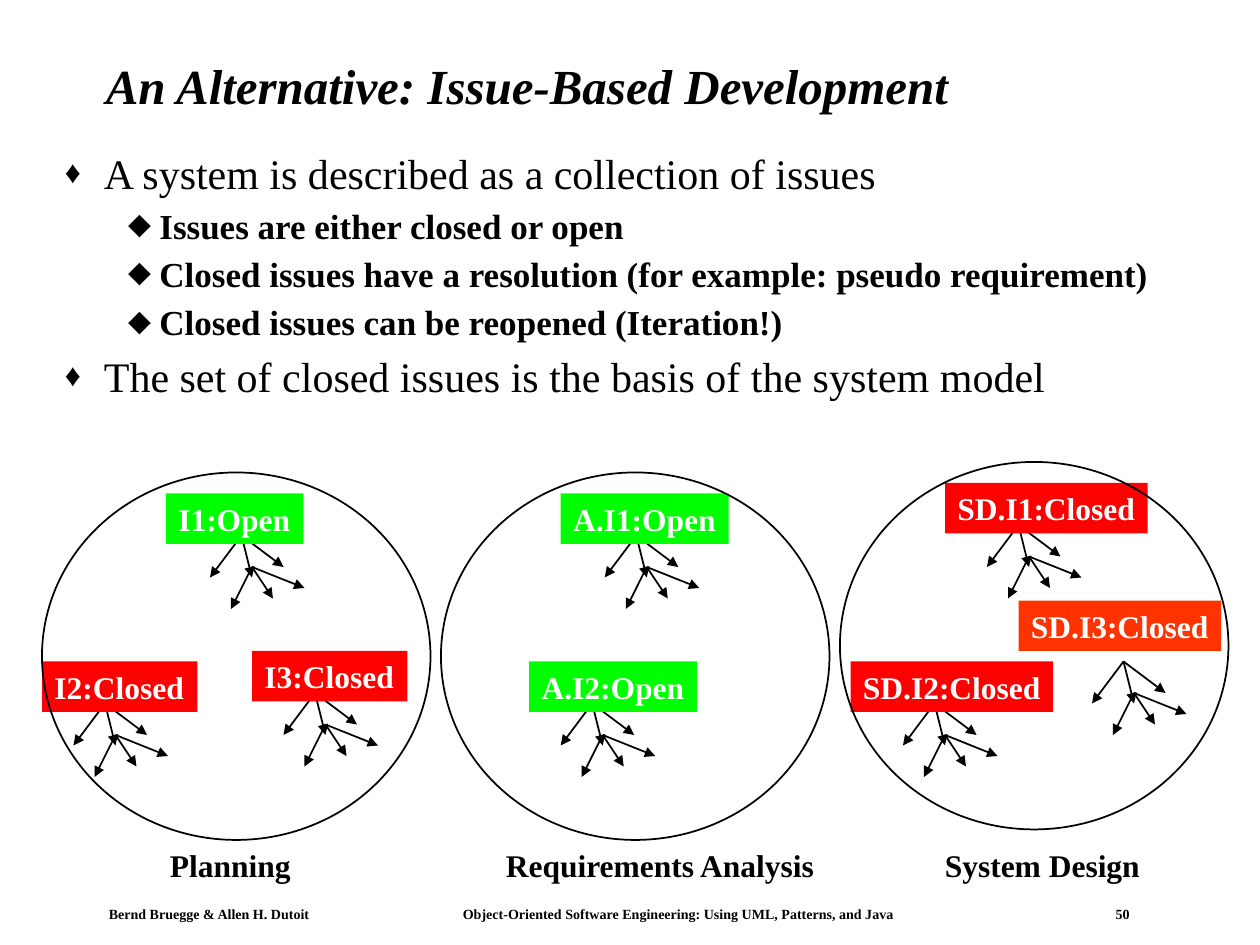
from lxml.etree import SubElement
from pptx import Presentation
from pptx.dml.color import RGBColor
from pptx.enum.shapes import MSO_CONNECTOR as Link, MSO_SHAPE as Shape
from pptx.oxml.ns import qn
from pptx.util import Inches, Pt

BLACK = RGBColor(0x00, 0x00, 0x00)
WHITE = RGBColor(0xFF, 0xFF, 0xFF)
GREEN = RGBColor(0x00, 0xFF, 0x00)
RED = RGBColor(0xFF, 0x00, 0x00)
ORANGE = RGBColor(0xFF, 0x33, 0x00)

COLUMNS, ROWS = 120, 90  # grid of 1/12 inch cells
LABEL_HEIGHT = 4.8
FACE = "Times New Roman"

TITLE = dict(size=Pt(28), bold=True, italic=True)
TOPIC = dict(size=Pt(24), bold=False)
DETAIL = dict(size=Pt(20), bold=True)
LABEL = dict(size=Pt(18), bold=True)
FOOTER = dict(size=Pt(8), bold=True)

# Bullet layout by outline level: indents in inches, space before in points
LEVELS = [
    dict(font=TOPIC, margin=0.31, hanging=0.31, gap=7.2, mark="♦", share=75),
    dict(font=DETAIL, margin=0.75, hanging=0.25, gap=6, mark="⬥", share=100),
]
OUTLINE = [
    (0, "A system is described as a collection of issues"),
    (1, "Issues are either closed or open"),
    (1, "Closed issues have a resolution (for example: pseudo requirement)"),
    (1, "Closed issues can be reopened (Iteration!)"),
    (0, "The set of closed issues is the basis of the system model"),
]

# Arrows of an issue tree, from its root and from the hub below it
HUB = (1, 3)
BRANCHES = [((0, 0), (1, 4)), ((0, 0), (-3, 4)), ((0, 0), (4, 3)),
            (HUB, (-1, 7)), (HUB, (3, 6)), (HUB, (6, 5))]

# Circle box; caption with its offset and width;
# issues: name, colour, offset in the circle, width, tree root in the circle
PHASES = [
    ((4, 45, 37, 35), ("Planning", 11, 13.9), [
        ("I1:Open", GREEN, (11.8, 2), 13.1, (19, 6)),
        ("I2:Closed", RED, (0, 18), 14.8, (6, 22)),
        ("I3:Closed", RED, (20, 17), 14.8, (26, 21)),
    ]),
    ((42, 45, 37, 35), ("Requirements Analysis", 5, 32), [
        ("A.I1:Open", GREEN, (11.4, 2), 16, (18.6, 6)),
        ("A.I2:Open", GREEN, (8.4, 18), 16, (14.4, 22)),
    ]),
    ((80, 44, 37, 35), ("System Design", 8.8, 22), [
        ("SD.I1:Closed", RED, (10, 2), 19.3, (17, 6)),
        ("SD.I2:Closed", RED, (1, 19), 19.3, (9, 23)),
        ("SD.I3:Closed", ORANGE, (17, 13.2), 19.3, (27, 19)),
    ]),
]
CAPTION_ROW = 80


def cells(*lengths):
    return [Inches(length / 12) for length in lengths]


def style(font, formats, colour=BLACK):
    font.name = FACE
    font.color.rgb = colour
    for attribute, value in formats.items():
        setattr(font, attribute, value)


def add_text(slide, box, text, formats, colour=BLACK, wrap=False):
    area = slide.shapes.add_textbox(*cells(*box))
    area.text_frame.word_wrap = wrap
    line = area.text_frame.paragraphs[0]
    line.text = text
    style(line.font, formats, colour)
    return area


def add_title(slide, box):
    title = add_text(slide, box, "An Alternative: Issue-Based Development",
                     TITLE, wrap=True)
    title.text_frame.paragraphs[0].line_spacing = 0.9


def add_bullet(paragraph, level):
    properties = paragraph._p.get_or_add_pPr()
    properties.set("marL", str(Inches(level["margin"])))
    properties.set("indent", str(-Inches(level["hanging"])))
    SubElement(properties, qn("a:buSzPct"), val=str(level["share"] * 1000))
    SubElement(properties, qn("a:buFont"), typeface=FACE)
    SubElement(properties, qn("a:buChar"), char=level["mark"])


def add_outline(slide, box):
    frame = slide.shapes.add_textbox(*cells(*box)).text_frame
    frame.word_wrap = True
    for index, (depth, text) in enumerate(OUTLINE):
        level = LEVELS[depth]
        paragraph = frame.add_paragraph() if index else frame.paragraphs[0]
        paragraph.text = text
        paragraph.level = depth
        paragraph.line_spacing = 0.9
        paragraph.space_before = Pt(level["gap"] if index else 0)
        add_bullet(paragraph, level)
        style(paragraph.font, level["font"])


def add_tree(slide, left, top):
    """Draw the branching arrows below an issue, from its root point."""
    tree = slide.shapes.add_group_shape()
    for (x1, y1), (x2, y2) in BRANCHES:
        ends = cells(left + x1, top + y1, left + x2, top + y2)
        arrow = tree.shapes.add_connector(Link.STRAIGHT, *ends)
        arrow.line.color.rgb = BLACK
        arrow.line.width = Pt(1)
        SubElement(arrow.line._get_or_add_ln(), qn("a:tailEnd"), type="triangle")
        SubElement(arrow._element.spPr, qn("a:effectLst"))


def add_phase(slide, box, caption, issues):
    left, top = box[:2]
    for name, colour, (x, y), width, (root_x, root_y) in issues:
        add_tree(slide, left + root_x, top + root_y)
        label = add_text(slide, (left + x, top + y, width, LABEL_HEIGHT),
                         name, LABEL, WHITE)
        label.fill.solid()
        label.fill.fore_color.rgb = colour

    circle = slide.shapes.add_shape(Shape.OVAL, *cells(*box))
    circle.shadow.inherit = False
    circle.fill.background()
    circle.line.color.rgb = BLACK
    circle.line.width = Pt(1)

    text, offset, width = caption
    add_text(slide, (left + offset, CAPTION_ROW, width, LABEL_HEIGHT), text, LABEL)


def add_footer(slide, box):
    parts = ["Bernd Bruegge & Allen H. Dutoit",
             "Object-Oriented Software Engineering: Using UML, Patterns, and Java",
             "50"]
    frame = slide.shapes.add_textbox(*cells(*box)).text_frame
    frame.word_wrap = True
    frame.margin_left = frame.margin_right = Inches(0.08)
    frame.margin_top = frame.margin_bottom = Inches(0.04)
    line = frame.paragraphs[0]
    stops = SubElement(line._p.get_or_add_pPr(), qn("a:tabLst"))
    for stop in (2.81, 7.99):
        SubElement(stops, qn("a:tab"), pos=str(Inches(stop)), algn="l")
    line.text = "\t".join(parts)
    style(line.font, FOOTER)


def main():
    deck = Presentation()
    deck.slide_width, deck.slide_height = cells(COLUMNS, ROWS)
    slide = deck.slides.add_slide(deck.slide_layouts[6])
    add_footer(slide, (9.4, 85.8, 99.2, 2.5))
    add_title(slide, (8.9, 5.3, 106.5, 12.5))
    add_outline(slide, (5, 14, 108.4, 64.5))
    for box, caption, issues in PHASES:
        add_phase(slide, box, caption, issues)
    deck.save("out.pptx")


if __name__ == "__main__":
    main()
